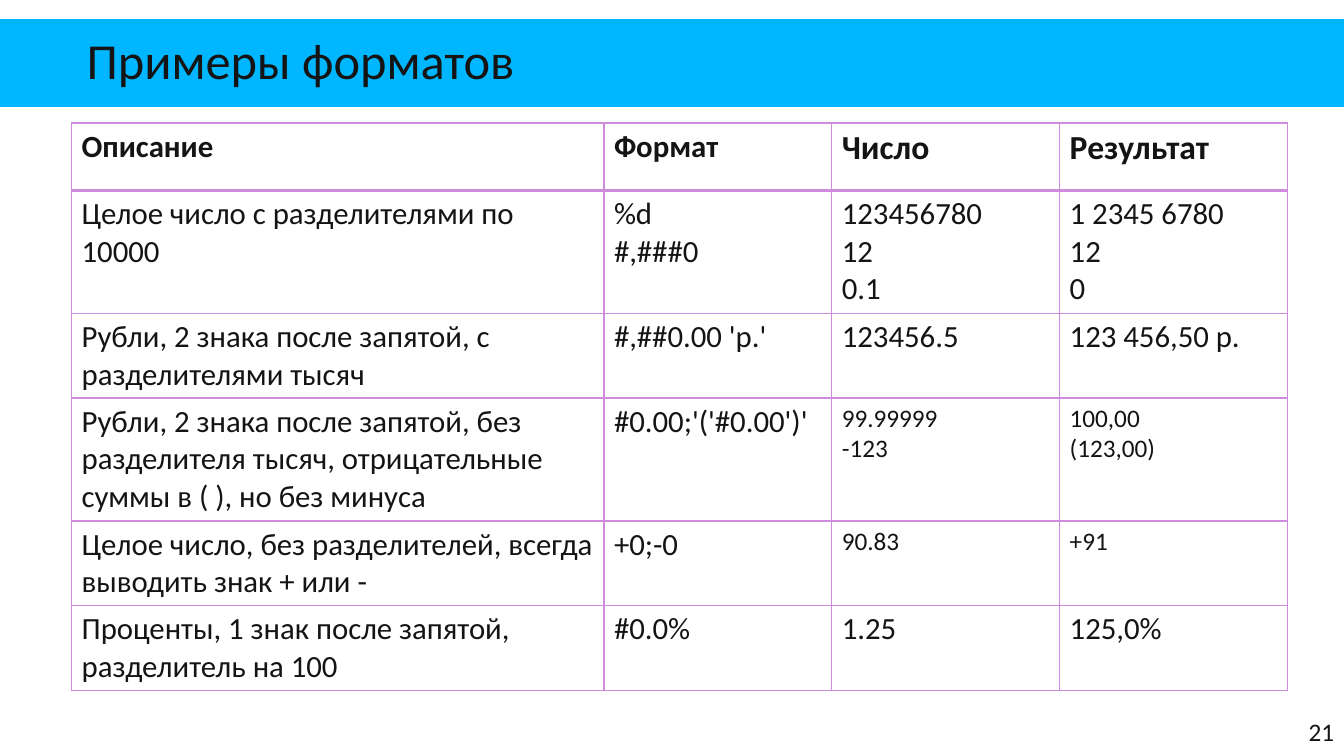
import pptx
import pptx.util
import pptx.dml.color
import pptx.enum.shapes
import pptx.enum.text
import pptx.oxml
import pptx.oxml.ns
from lxml import etree

Inch = pptx.util.Inches
Pt = pptx.util.Pt
ALIGN = pptx.enum.text.PP_ALIGN
WIDE, HIGH = 13.33, 7.5
INK, BAND, EDGE = "141414", "00B7FF", "CF8CDC"
COLS = [5.28, 2.26, 2.26, 2.26]
ROWS = [0.67, 1.22, 0.84, 1.22, 0.84, 0.84]
HEAD = ["Описание", "Формат", "Число", "Результат"]
BODY = [
    ["Целое число с разделителями по 10000", "%d\n#,###0",
     "123456780\n12\n0.1", "1 2345 6780\n12\n0"],
    ["Рубли, 2 знака после запятой, с разделителями тысяч",
     "#,##0.00 'р.'", "123456.5", "123 456,50 р."],
    ["Рубли, 2 знака после запятой, без разделителя тысяч, "
     "отрицательные суммы в ( ), но без минуса",
     "#0.00;'('#0.00')'", "99.99999\n-123", "100,00\n(123,00)"],
    ["Целое число, без разделителей, всегда выводить знак + или -",
     "+0;-0", "90.83", "+91"],
    ["Проценты, 1 знак после запятой, разделитель на 100",
     "#0.0%", "1.25", "125,0%"],
]
SMALL = (3, 4)


def color(code):
    return pptx.dml.color.RGBColor.from_string(code)


def write(frame, text, size, bold=False, align=ALIGN.LEFT):
    frame.text = text
    for para in frame.paragraphs:
        para.alignment = align
        para.font.name = "Calibri"
        para.font.size = Pt(size)
        para.font.bold = bold
        para.font.color.rgb = color(INK)


def label(slide, box, text, size, align=ALIGN.LEFT):
    frame = slide.shapes.add_textbox(*map(Inch, box)).text_frame
    frame.word_wrap = True
    frame.vertical_anchor = pptx.enum.text.MSO_ANCHOR.MIDDLE
    write(frame, text, size, align=align)
    return frame


def banner(slide, box, text):
    left, top, width, height = box
    bar = slide.shapes.add_shape(
        pptx.enum.shapes.MSO_SHAPE.RECTANGLE, *map(Inch, box))
    bar.shadow.inherit = False
    bar.fill.solid()
    bar.fill.fore_color.rgb = color(BAND)
    bar.line.fill.background()
    inner = (left + 0.76, top + 0.12, width - 1.52, 0.66)
    label(slide, inner, text, 36).paragraphs[0].line_spacing = 0.85


def border(cell, widths):
    props = cell._tc.get_or_add_tcPr()
    for spot, (side, width) in enumerate(widths.items()):
        line = etree.Element(pptx.oxml.ns.qn("a:ln" + side), w=str(Pt(width)))
        fill = etree.SubElement(line, pptx.oxml.ns.qn("a:solidFill"))
        etree.SubElement(fill, pptx.oxml.ns.qn("a:srgbClr"), val=EDGE)
        props.insert(spot, line)


def grid(slide, left, top):
    table = slide.shapes.add_table(
        len(ROWS), len(COLS), Inch(left), Inch(top),
        Inch(sum(COLS)), Inch(sum(ROWS))).table
    table.horz_banding = False
    for col, width in zip(table.columns, COLS):
        col.width = Inch(width)
    for row, height in zip(table.rows, ROWS):
        row.height = Inch(height)
    for r, texts in enumerate([HEAD] + BODY):
        for c, text in enumerate(texts):
            cell = table.cell(r, c)
            cell.fill.background()
            size = 22
            if c > 1 and r == 0:
                size = 24
            elif c > 1 and r in SMALL:
                size = 18
            write(cell.text_frame, text, size, bold=r == 0)
            border(cell, {"L": 1, "R": 1, "T": 2 if r == 1 else 1,
                          "B": 2 if r == 0 else 1})


def main():
    deck = pptx.Presentation()
    deck.slide_width, deck.slide_height = Inch(WIDE), Inch(HIGH)
    slide = deck.slides.add_slide(deck.slide_layouts[6])
    banner(slide, (0, 0.19, WIDE, 0.87), "Примеры форматов")
    grid(slide, 0.71, 1.22)
    label(slide, (WIDE - 0.91, HIGH - 0.44, 0.91, 0.4), "21", 18, ALIGN.RIGHT)
    deck.save("out.pptx")


if __name__ == "__main__":
    main()
